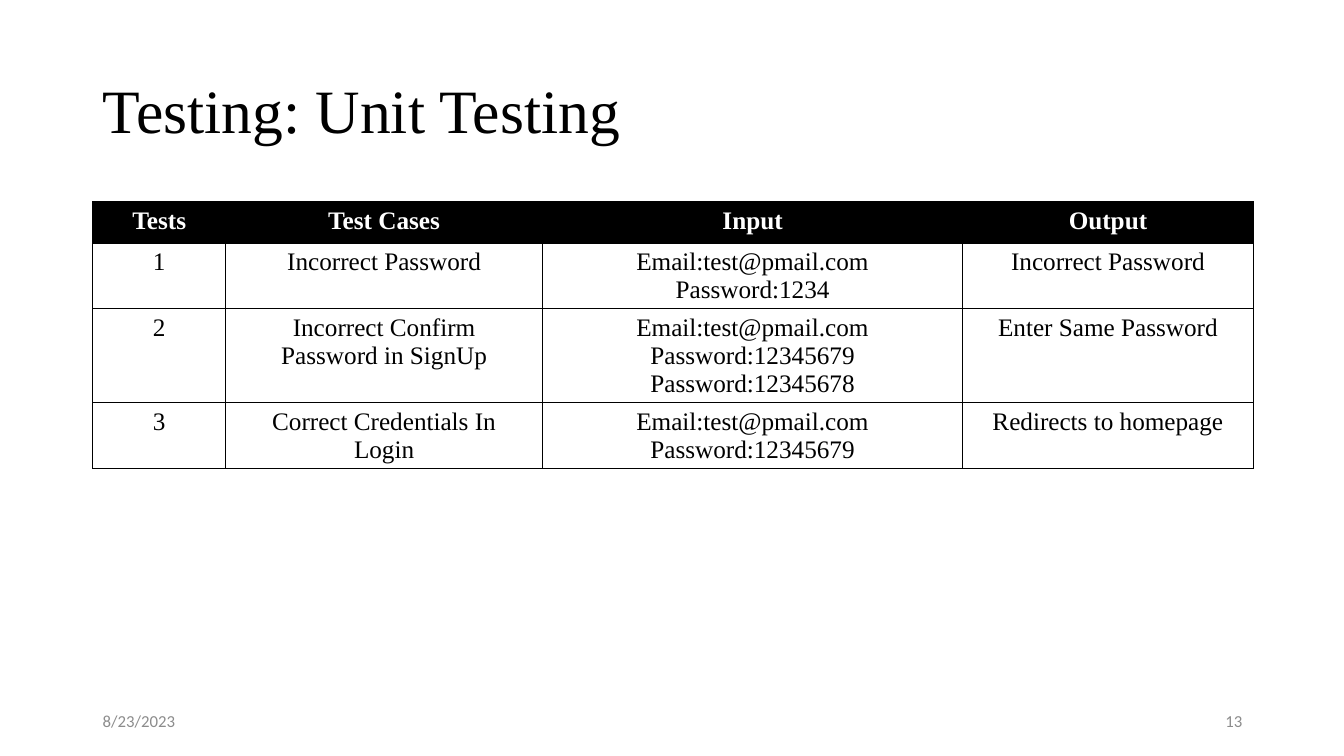
from dataclasses import dataclass

from lxml import etree
from pptx import Presentation
from pptx.dml.color import RGBColor
from pptx.enum import text as t
from pptx.oxml import ns
from pptx.util import Inches, Pt


@dataclass(frozen=True)
class Theme:
    black: str = "000000"
    white: str = "FFFFFF"
    grey: str = "8C8C8C"
    serif: str = "Times New Roman"
    sans: str = "Calibri"
    title_size: int = 44
    table_size: int = 18
    footer_size: int = 12
    border_width: int = 1


THEME = Theme()
TITLE_ONLY = 5
COLUMN_WIDTHS = [1.32, 3.14, 4.17, 2.88]
ROW_HEIGHT = 0.41
EMAIL = "Email:test@pmail.com"
TEST_ROWS = [
    ["Tests", "Test Cases", "Input", "Output"],
    ["1", "Incorrect Password", f"{EMAIL}\nPassword:1234", "Incorrect Password"],
    ["2", "Incorrect Confirm\nPassword in SignUp",
     f"{EMAIL}\nPassword:12345679\nPassword:12345678", "Enter Same Password"],
    ["3", "Correct Credentials In\nLogin", f"{EMAIL}\nPassword:12345679",
     "Redirects to homepage"],
]


def write(frame, wording, size, font, color, align, bold=False, spacing=None):
    """Put each line of the wording in a paragraph of its own."""
    for i, line in enumerate(wording.split("\n")):
        paragraph = frame.add_paragraph() if i else frame.paragraphs[0]
        paragraph.alignment = align
        if spacing:
            paragraph.line_spacing = spacing
        run = paragraph.add_run()
        run.text = line
        run.font.size = Pt(size)
        run.font.name = font
        run.font.bold = bold
        run.font.color.rgb = RGBColor.from_string(color)


def place_title(slide, left, top, width, height):
    title = slide.shapes.title
    title.left, title.top = Inches(left), Inches(top)
    title.width, title.height = Inches(width), Inches(height)
    title.text_frame.vertical_anchor = t.MSO_ANCHOR.MIDDLE
    title.text_frame.auto_size = t.MSO_AUTO_SIZE.NONE
    write(title.text_frame, "Testing: Unit Testing", THEME.title_size,
          THEME.serif, THEME.black, t.PP_ALIGN.LEFT, spacing=0.9)


def add_borders(cell):
    properties = cell._tc.get_or_add_tcPr()
    for side in ("a:lnL", "a:lnR", "a:lnT", "a:lnB"):
        line = etree.SubElement(properties, ns.qn(side),
                                w=str(Pt(THEME.border_width)))
        fill = etree.SubElement(line, ns.qn("a:solidFill"))
        etree.SubElement(fill, ns.qn("a:srgbClr"), val=THEME.black)


def place_test_table(slide, left, top, width):
    table = slide.shapes.add_table(
        len(TEST_ROWS), len(COLUMN_WIDTHS), Inches(left), Inches(top),
        Inches(width), Inches(ROW_HEIGHT * len(TEST_ROWS))).table
    for column, column_width in zip(table.columns, COLUMN_WIDTHS):
        column.width = Inches(column_width)
    for r, test_row in enumerate(TEST_ROWS):
        is_header = r == 0
        fill, ink = ((THEME.black, THEME.white) if is_header
                     else (THEME.white, THEME.black))
        for c, wording in enumerate(test_row):
            cell = table.cell(r, c)
            add_borders(cell)
            cell.fill.solid()
            cell.fill.fore_color.rgb = RGBColor.from_string(fill)
            write(cell.text_frame, wording, THEME.table_size, THEME.serif,
                  ink, t.PP_ALIGN.CENTER, bold=is_header)


def place_footer(slide, left, top, width, height):
    """Set the date at the left end of the box and the number at the right."""
    part_width = 3
    for wording, part_left, align in (
            ("8/23/2023", left, t.PP_ALIGN.LEFT),
            ("13", left + width - part_width, t.PP_ALIGN.RIGHT)):
        frame = slide.shapes.add_textbox(
            Inches(part_left), Inches(top),
            Inches(part_width), Inches(height)).text_frame
        frame.word_wrap = True
        frame.vertical_anchor = t.MSO_ANCHOR.MIDDLE
        write(frame, wording, THEME.footer_size, THEME.sans, THEME.grey, align)


def main():
    deck = Presentation()
    deck.slide_width, deck.slide_height = Inches(13.33), Inches(7.5)
    slide = deck.slides.add_slide(deck.slide_layouts[TITLE_ONLY])
    margin, content_width = 0.92, 11.5
    place_title(slide, margin, 0.4, content_width, 1.45)
    place_test_table(slide, margin, 2, content_width)
    place_footer(slide, margin, 6.95, content_width, 0.4)
    deck.save("out.pptx")


if __name__ == "__main__":
    main()
